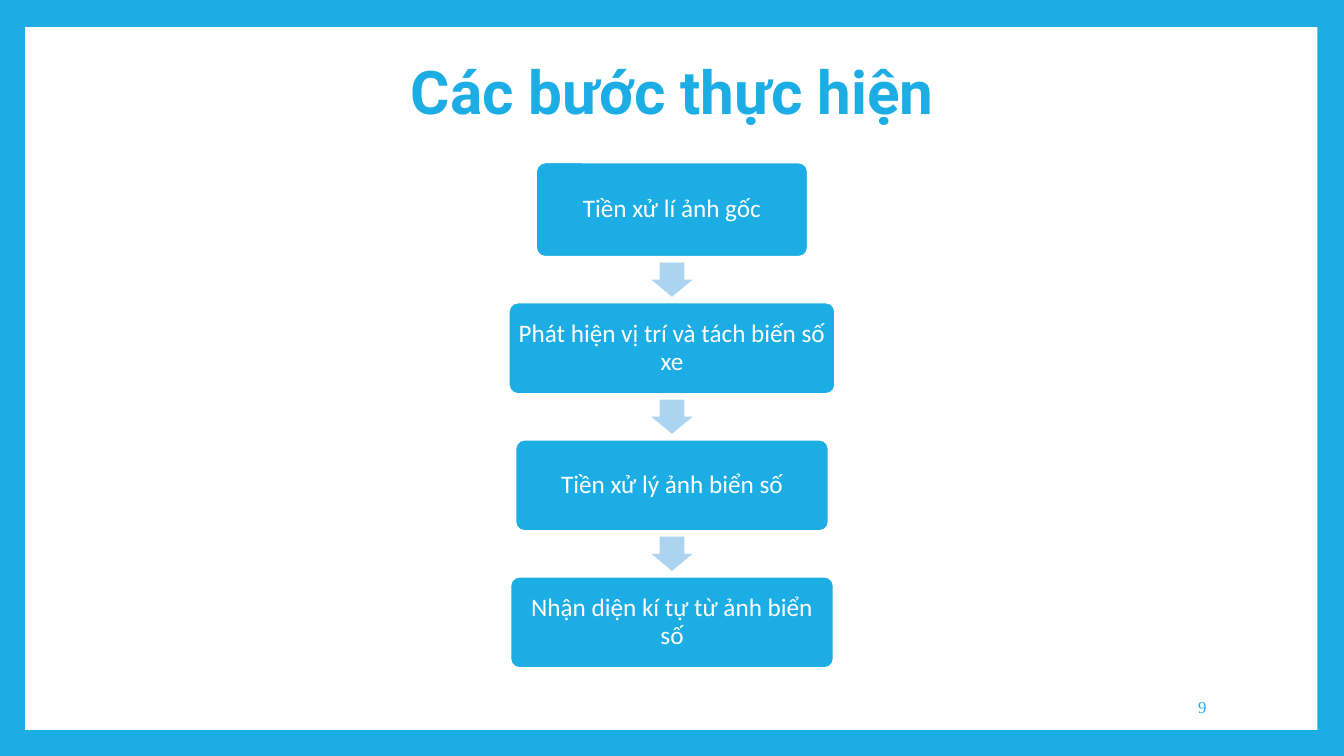
from pptx import Presentation
from pptx.dml.color import RGBColor
from pptx.enum import shapes, text
from pptx.util import Pt

BLUE, PALE_BLUE, WHITE = "1CADE4", "ACD3EF", "FFFFFF"
CENTER = 480
STEPS = [
    ("Tiền xử lí ảnh gốc", 194.4, 67.7),
    ("Phát hiện vị trí và tách biến số xe", 233.3, 65.5),
    ("Tiền xử lý ảnh biển số", 223.9, 65.5),
    ("Nhận diện kí tự từ ảnh biển số", 231.1, 65.5),
]
FIRST_TOP, GAP = 115.9, 32.4
ARROW_WIDTH, ARROW_HEIGHT = 29.4, 24.5


def color(value):
    """Return the colour for a hex string."""
    return RGBColor.from_string(value)


def write(frame, words, font, size, tint, align, bold=False, spacing=None):
    """Fill a text frame with one vertically centred paragraph."""
    frame.word_wrap = True
    frame.vertical_anchor = text.MSO_ANCHOR.MIDDLE
    paragraph = frame.paragraphs[0]
    paragraph.text = words
    paragraph.alignment = align
    paragraph.line_spacing = spacing
    paragraph.font.name = font
    paragraph.font.size = Pt(size)
    paragraph.font.bold = bold
    paragraph.font.color.rgb = color(tint)


def add_label(slide, box, *style, **options):
    """Add a text box with the given place and text style."""
    label = slide.shapes.add_textbox(*map(Pt, box))
    write(label.text_frame, *style, **options)


def add_block(slide, kind, box, fill):
    """Add a filled preset shape without outline or shadow."""
    block = slide.shapes.add_shape(kind, *map(Pt, box))
    block.shadow.inherit = False
    block.fill.solid()
    block.fill.fore_color.rgb = color(fill)
    block.line.fill.background()
    return block


def add_step(slide, words, top, width, height):
    """Add one rounded step box centred on the slide."""
    step = add_block(slide, shapes.MSO_SHAPE.ROUNDED_RECTANGLE,
                     (CENTER - width / 2, top, width, height), BLUE)
    step.adjustments[0] = 0.1
    step.line.color.rgb = color(WHITE)
    step.line.width = Pt(1.5)
    frame = step.text_frame
    frame.margin_left = frame.margin_right = Pt(5)
    frame.margin_top = frame.margin_bottom = Pt(5)
    write(frame, words, "Calibri", 18, WHITE, text.PP_ALIGN.CENTER, spacing=0.9)


def add_arrow(slide, middle):
    """Add a down arrow centred on the given height."""
    arrow = add_block(slide, shapes.MSO_SHAPE.DOWN_ARROW,
                      (CENTER - ARROW_WIDTH / 2, middle - ARROW_HEIGHT / 2,
                       ARROW_WIDTH, ARROW_HEIGHT), PALE_BLUE)
    arrow.adjustments[0] = 0.6
    arrow.adjustments[1] = 0.5


def main():
    """Build the slide and save it."""
    deck = Presentation()
    deck.slide_width, deck.slide_height = Pt(960), Pt(540)
    slide = deck.slides.add_slide(deck.slide_layouts[6])
    slide.background.fill.solid()
    slide.background.fill.fore_color.rgb = color(BLUE)
    add_block(slide, shapes.MSO_SHAPE.RECTANGLE, (18, 19.4, 923, 502), WHITE)
    add_label(slide, (734.4, 490.3, 134.6, 28.8), "9", "Times New Roman", 12,
              BLUE, text.PP_ALIGN.RIGHT)
    add_label(slide, (91.4, 33.8, 777.6, 68.4), "Các bước thực hiện", "Roboto",
              43, BLUE, text.PP_ALIGN.CENTER, bold=True, spacing=0.9)
    top = FIRST_TOP
    for number, (words, width, height) in enumerate(STEPS):
        if number:
            add_arrow(slide, top - GAP / 2)
        add_step(slide, words, top, width, height)
        top += height + GAP
    deck.save("out.pptx")


if __name__ == "__main__":
    main()
